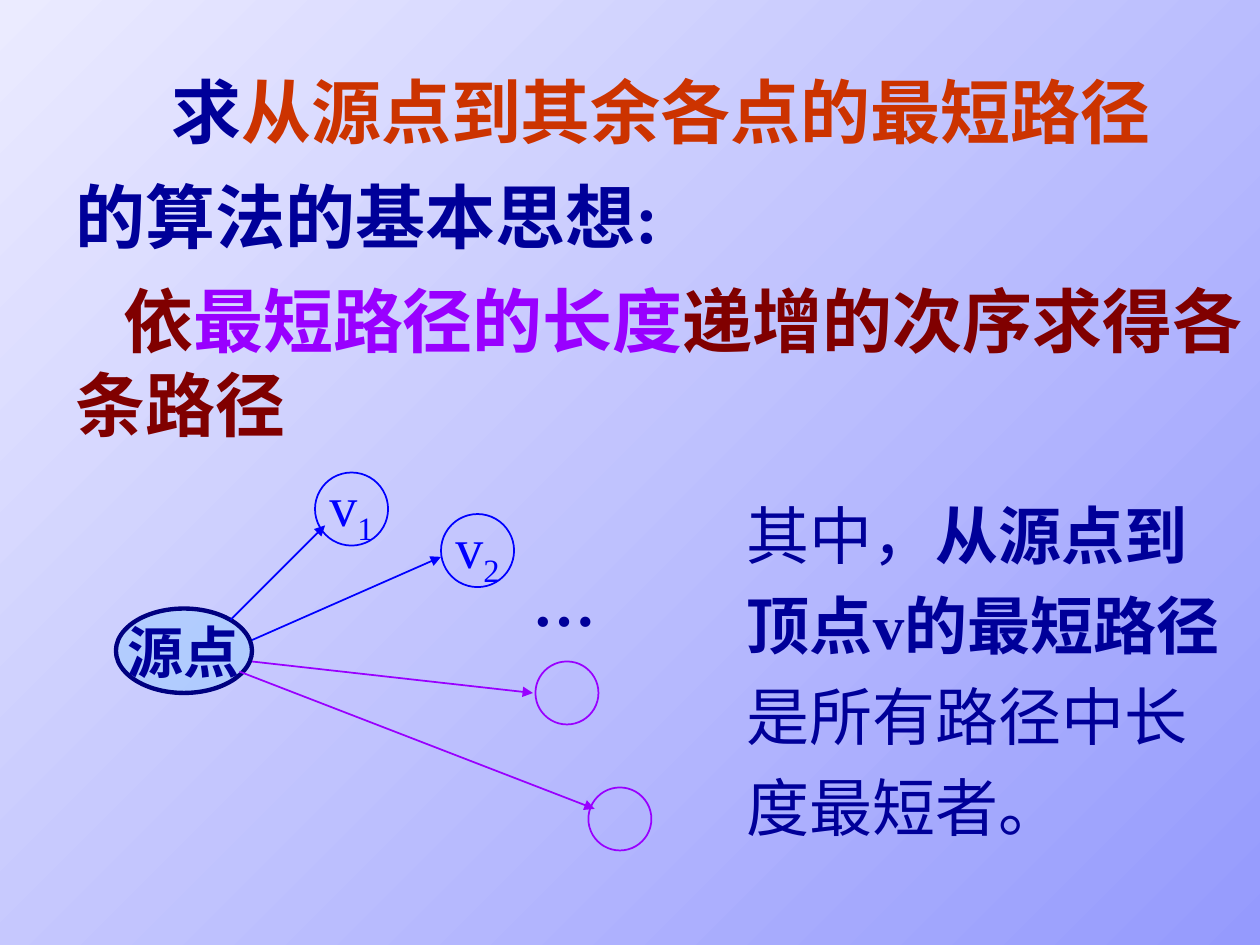
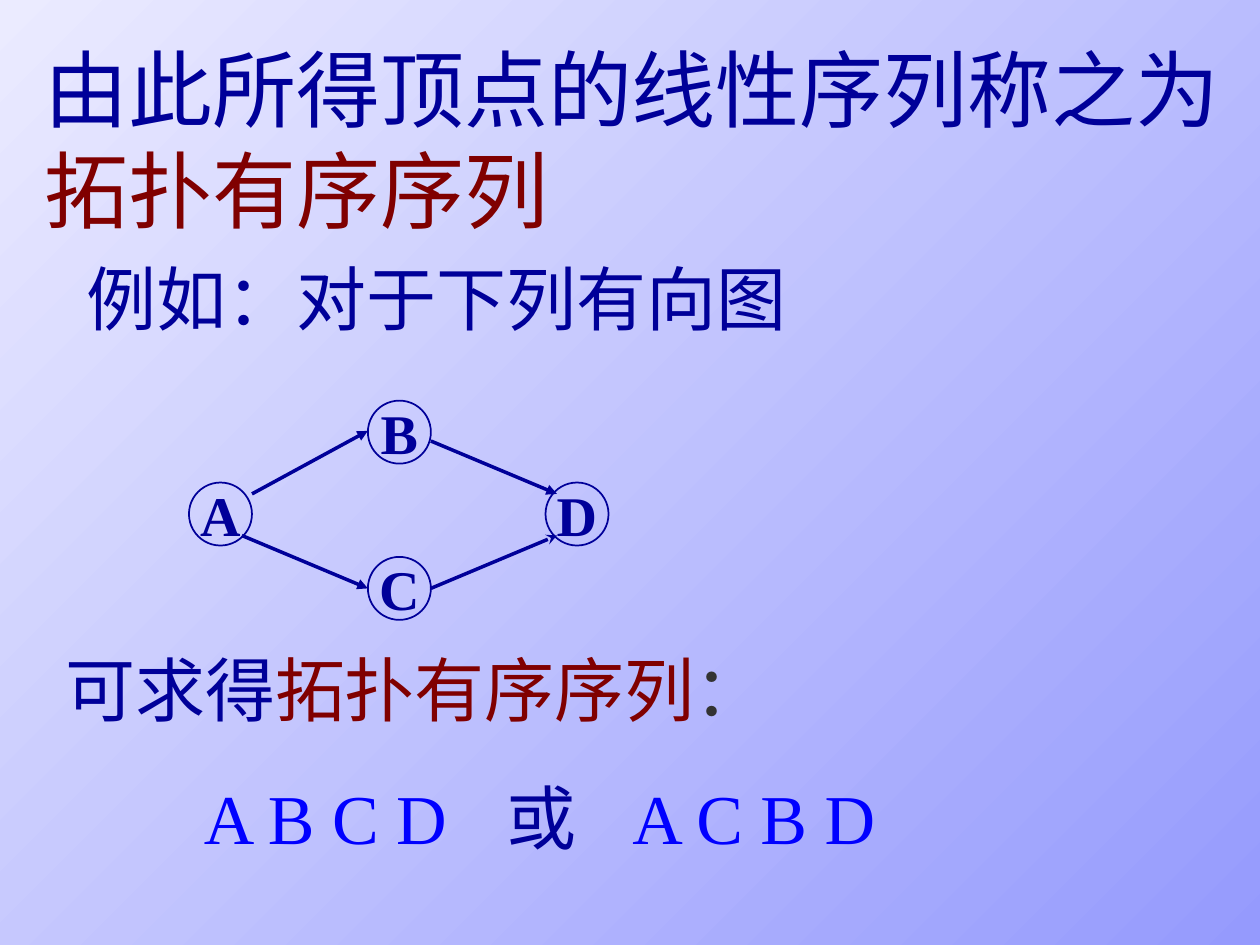
from lxml import etree
from pptx import Presentation
from pptx.dml.color import RGBColor
from pptx.enum.shapes import MSO_CONNECTOR, MSO_SHAPE
from pptx.enum.text import MSO_ANCHOR, MSO_AUTO_SIZE, PP_ALIGN
from pptx.oxml.ns import qn
from pptx.util import Inches, Pt

STRAIGHT = MSO_CONNECTOR.STRAIGHT
ELLIPSE = MSO_SHAPE.OVAL
TOP, MIDDLE = MSO_ANCHOR.TOP, MSO_ANCHOR.MIDDLE
LEFT, CENTER = PP_ALIGN.LEFT, PP_ALIGN.CENTER
GROW = MSO_AUTO_SIZE.SHAPE_TO_FIT_TEXT
TITLE_ONLY = 5

FONT = "Times New Roman"
COLORS = {
    "navy": "000099", "outline": "000080", "blue": "0000FF",
    "violet": "9900FF", "maroon": "800000", "orange": "CC3300",
    "gray": "333333", "sky": "99CCFF",
    "background_dark": "959AFD", "background_light": "EBEBFF",
}
BACKGROUND_ANGLE = 135

SHORTEST_PATH = {
    "title": {
        "box": (0.5, 0.33, 9.02, 1.77), "size": 40, "bold": True, "line_spacing": 1.25,
        "paragraphs": [{"indent": 0.76, "runs": [
            ("求", "navy"), ("从源点到其余各点的最短路径", "orange"),
            ("的算法的基本思想:", "navy")]}],
    },
    "texts": [
        {"box": (0.5, 2.15, 9.5, 1.44), "size": 40, "bold": True,
         "paragraphs": [{"indent": 0.38, "runs": [
             ("依", "maroon"), ("最短路径的长度", "violet"),
             ("递增的次序求得各条路径", "maroon")]}]},
        {"box": (4.13, 4.42, 0.7, 0.7), "size": 36, "bold": True, "wrap": False,
         "paragraphs": [{"runs": [("…", "navy")]}]},
        {"box": (5.83, 3.77, 4.08, 2.98), "size": 36, "line_spacing": 1.2,
         "paragraphs": [{"runs": [
             ("其中，", "navy"), ("从源点到顶点v的最短路径", "navy", {"bold": True}),
             ("是所有路径中长度最短者。", "navy")]}]},
    ],
    "nodes": [
        {"box": (0.92, 4.83, 1.08, 0.67), "line": ("outline", 2.5), "fill": "sky",
         "bold": True, "runs": [("源点", "navy")]},
        {"box": (2.5, 3.75, 0.58, 0.58), "line": ("blue", 1),
         "runs": [("v", "blue"), ("1", "blue", {"subscript": True})]},
        {"box": (3.5, 4.08, 0.58, 0.58), "line": ("blue", 1),
         "runs": [("v", "blue"), ("2", "blue", {"subscript": True})]},
        {"box": (4.25, 5.25, 0.5, 0.5), "line": ("violet", 1)},
        {"box": (4.67, 6.25, 0.5, 0.5), "line": ("violet", 1)},
    ],
    "arrows": [
        ((1.83, 4.92), (2.58, 4.17), "blue", 1, "triangle"),
        ((2, 5.08), (3.5, 4.42), "blue", 1, "triangle"),
        ((2, 5.25), (4.23, 5.5), "violet", 1, "triangle"),
        ((1.9, 5.33), (4.72, 6.42), "violet", 1, "triangle"),
    ],
}

VERTICES = {"A": (1.5, 3.83), "B": (2.92, 3.18), "C": (2.92, 4.42), "D": (4.33, 3.83)}
VERTEX_SIZE = 0.5

TOPOLOGICAL_ORDER = {
    "title": {
        "box": (0.25, 0.25, 9.75, 1.7), "size": 48,
        "paragraphs": [{"runs": [
            ("由此所得顶点的线性序列称之为", "navy"), ("拓扑有序序列", "maroon")]}],
    },
    "texts": [
        {"box": (0.59, 1.98, 5.75, 0.77), "size": 40, "wrap": False,
         "paragraphs": [{"runs": [("例如：对于下列有向图", "navy")]}]},
        {"box": (0.42, 5.08, 9, 1.78), "size": 40, "space_before": 25,
         "paragraphs": [
             {"runs": [("可求得", "navy"), ("拓扑有序序列", "maroon"), ("：", "gray")]},
             {"indent": 1.1, "tabs": (3.72, 4.9), "runs": [
                 ("A B C D\t", "blue"), ("或\t", "navy"), ("A C B D", "blue")]},
         ]},
    ],
    "nodes": [
        {"box": (left, top, VERTEX_SIZE, VERTEX_SIZE), "line": ("navy", 1),
         "bold": True, "runs": [(name, "navy")]}
        for name, (left, top) in VERTICES.items()
    ],
    "arrows": [
        ((2, 3.92), (2.92, 3.42), "navy", 2, "triangle"),
        ((1.92, 4.25), (2.92, 4.67), "navy", 2, "triangle"),
        ((3.42, 3.5), (4.42, 3.92), "navy", 2, "triangle"),
        ((3.42, 4.67), (4.42, 4.25), "navy", 2, "stealth"),
    ],
}


def color(name):
    return RGBColor.from_string(COLORS[name])


def set_attributes(target, values):
    for name, value in values.items():
        setattr(target, name, value)


def add_runs(paragraph, runs, size, bold):
    for text, color_name, *options in runs:
        extra = options[0] if options else {}
        run = paragraph.add_run()
        run.text = text
        set_attributes(run.font, {
            "name": FONT, "size": Pt(size), "bold": extra.get("bold", bold)})
        run.font.color.rgb = color(color_name)
        if extra.get("subscript"):
            run._r.get_or_add_rPr().set("baseline", "-25000")


def set_indent(paragraph, indent, tabs):
    properties = paragraph._p.get_or_add_pPr()
    properties.set("marL", "0")
    properties.set("indent", str(Inches(indent)))
    if tabs:
        tab_list = etree.SubElement(properties, qn("a:tabLst"))
        for position in tabs:
            etree.SubElement(tab_list, qn("a:tab"), pos=str(Inches(position)), algn="l")


def fill_text(shape, content):
    left, top, width, height = map(Inches, content["box"])
    set_attributes(shape, {"left": left, "top": top, "width": width, "height": height})
    frame = shape.text_frame
    set_attributes(frame, {
        "word_wrap": content.get("wrap", True), "auto_size": GROW, "vertical_anchor": TOP})
    for index, item in enumerate(content["paragraphs"]):
        paragraph = frame.add_paragraph() if index else frame.paragraphs[0]
        set_attributes(paragraph, {
            "alignment": LEFT,
            "line_spacing": content.get("line_spacing", 1.0),
            "space_before": Pt(content.get("space_before", 0))})
        set_indent(paragraph, item.get("indent", 0), item.get("tabs"))
        add_runs(paragraph, item["runs"], content["size"], content.get("bold", False))


def add_node(slide, node):
    shape = slide.shapes.add_shape(ELLIPSE, *map(Inches, node["box"]))
    shape.shadow.inherit = False
    line_color, line_width = node["line"]
    shape.line.color.rgb = color(line_color)
    shape.line.width = Pt(line_width)
    if "fill" in node:
        shape.fill.solid()
        shape.fill.fore_color.rgb = color(node["fill"])
        fill_color = shape._element.spPr.find(qn("a:solidFill")).find(qn("a:srgbClr"))
        etree.SubElement(fill_color, qn("a:alpha"), val="50000")
    else:
        shape.fill.background()
    if "runs" in node:
        frame = shape.text_frame
        set_attributes(frame, {"word_wrap": False, "vertical_anchor": MIDDLE})
        paragraph = frame.paragraphs[0]
        paragraph.alignment = CENTER
        add_runs(paragraph, node["runs"], 32, node.get("bold", False))


def add_arrow(slide, start, end, color_name, width, head):
    arrow = slide.shapes.add_connector(STRAIGHT, *map(Inches, start + end))
    arrow.line.color.rgb = color(color_name)
    arrow.line.width = Pt(width)
    line = arrow._element.spPr.find(qn("a:ln"))
    etree.SubElement(line, qn("a:tailEnd"), type=head)
    etree.SubElement(arrow._element.spPr, qn("a:effectLst"))


def set_background(master):
    fill = master.background.fill
    fill.gradient()
    fill.gradient_angle = BACKGROUND_ANGLE
    for stop, name in zip(fill.gradient_stops, ("background_dark", "background_light")):
        stop.color.rgb = color(name)


def build_slide(presentation, content):
    slide = presentation.slides.add_slide(presentation.slide_layouts[TITLE_ONLY])
    fill_text(slide.shapes.title, content["title"])
    for text in content["texts"]:
        fill_text(slide.shapes.add_textbox(*map(Inches, text["box"])), text)
    for node in content["nodes"]:
        add_node(slide, node)
    for arrow in content["arrows"]:
        add_arrow(slide, *arrow)


def main():
    presentation = Presentation()
    presentation.slide_width = Inches(10)
    presentation.slide_height = Inches(7.5)
    set_background(presentation.slide_master)
    for content in (SHORTEST_PATH, TOPOLOGICAL_ORDER):
        build_slide(presentation, content)
    presentation.save("out.pptx")


if __name__ == "__main__":
    main()
